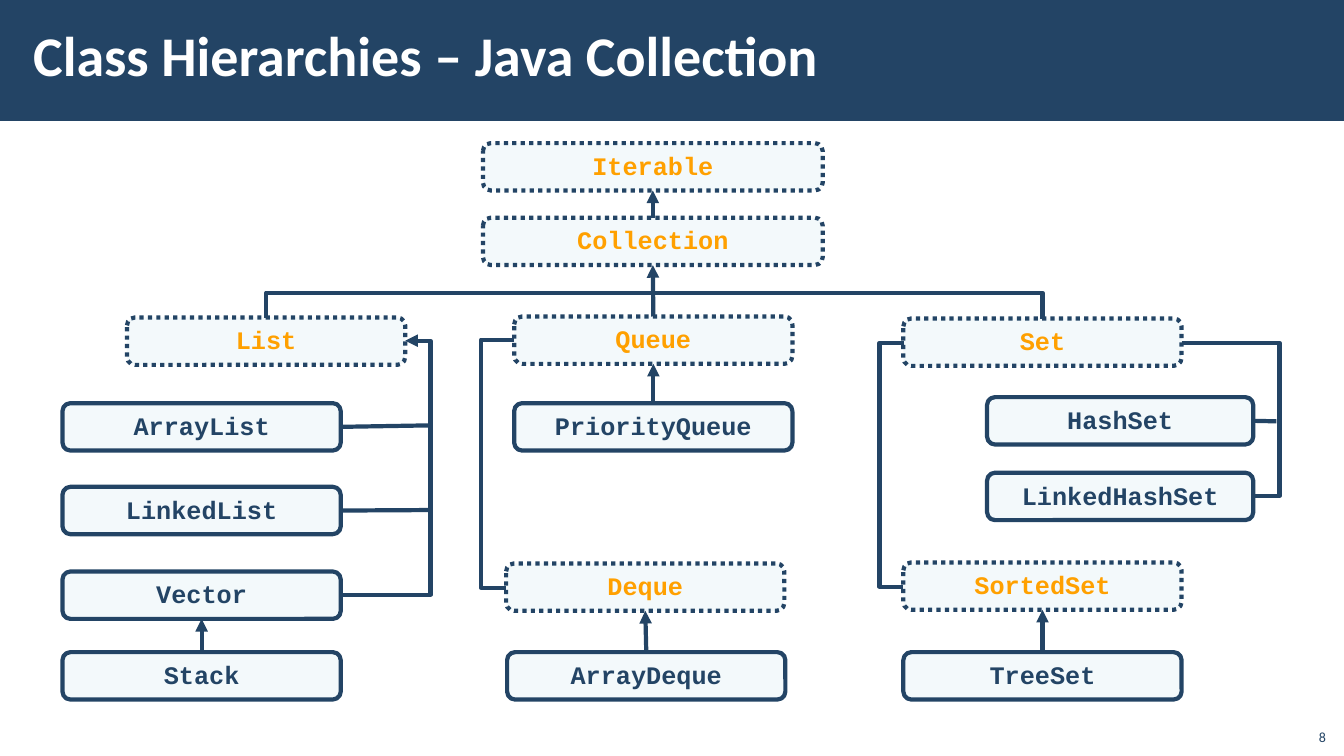
"""Build a slide that shows the class hierarchy of the Java collections."""
from dataclasses import dataclass

from lxml.etree import SubElement
from pptx import Presentation
from pptx.dml.color import RGBColor
from pptx.enum.dml import MSO_LINE
from pptx.enum.shapes import MSO_CONNECTOR, MSO_SHAPE
from pptx.enum.text import MSO_ANCHOR, PP_ALIGN
from pptx.oxml.ns import qn
from pptx.shapes.autoshape import Shape
from pptx.shapes.connector import Connector
from pptx.slide import Slide
from pptx.util import Inches, Pt

NAVY = "234465"
ORANGE = "FFA000"
PALE = "B5DBE5"
WHITE = "FFFFFF"
BOX_HEIGHT = 0.47
TOP, BOTTOM, RIGHT = 0, 2, 3


@dataclass(frozen=True)
class TypeBox:
    name: str
    left: float
    top: float
    width: float = 2.76
    interface: bool = False


@dataclass(frozen=True)
class Branch:
    child: str
    x: float
    y: float


@dataclass(frozen=True)
class Elbow:
    start: tuple[float, float]
    end: tuple[float, float]
    bend: float
    vertical: bool = False
    arrow: bool = False


TYPE_BOXES = [
    TypeBox("Iterable", 4.79, 1.42, 3.37, interface=True),
    TypeBox("Collection", 4.79, 2.16, 3.37, interface=True),
    TypeBox("List", 1.26, 3.15, interface=True),
    TypeBox("Queue", 5.1, 3.14, interface=True),
    TypeBox("Set", 8.96, 3.16, interface=True),
    TypeBox("ArrayList", 0.62, 4),
    TypeBox("LinkedList", 0.62, 4.83),
    TypeBox("Vector", 0.62, 5.67),
    TypeBox("Stack", 0.62, 6.47),
    TypeBox("PriorityQueue", 5.1, 4),
    TypeBox("Deque", 5.02, 5.59, interface=True),
    TypeBox("ArrayDeque", 5.03, 6.47),
    TypeBox("HashSet", 9.79, 3.94, 2.64),
    TypeBox("LinkedHashSet", 9.79, 4.69, 2.64),
    TypeBox("SortedSet", 8.96, 5.58, interface=True),
    TypeBox("TreeSet", 8.96, 6.47),
]
PARENTS = {
    "Collection": "Iterable",
    "Queue": "Collection",
    "PriorityQueue": "Queue",
    "Stack": "Vector",
    "ArrayDeque": "Deque",
    "TreeSet": "SortedSet",
}
BRANCHES = [
    Branch("ArrayList", 4.28, 4.22),
    Branch("LinkedList", 4.28, 5.06),
    Branch("HashSet", 12.66, 4.18),
]
ELBOWS = [
    Elbow((2.64, 3.15), (10.34, 3.16), 2.9, vertical=True),
    Elbow((3.38, 5.9), (4.02, 3.38), 4.27, arrow=True),
    Elbow((5.1, 3.37), (5.02, 5.83), 4.77),
    Elbow((11.72, 3.4), (12.44, 4.92), 12.69),
    Elbow((8.97, 3.4), (8.96, 5.82), 8.72),
]


def color(value: str) -> RGBColor:
    return RGBColor.from_string(value)


def write(shape: Shape, text: str, size: float, font: str, ink: str,
          align: PP_ALIGN, spacing: float | Pt, bold: bool = True) -> None:
    frame = shape.text_frame
    frame.text = text
    para = frame.paragraphs[0]
    para.alignment = align
    para.line_spacing = spacing
    span = para.runs[0]
    span.font.size = Pt(size)
    span.font.name = font
    span.font.bold = bold
    span.font.color.rgb = color(ink)


def add_label(page: Slide, left: float, top: float, width: float, height: float,
              anchor: MSO_ANCHOR) -> Shape:
    label = page.shapes.add_textbox(Inches(left), Inches(top), Inches(width), Inches(height))
    label.text_frame.word_wrap = True
    label.text_frame.vertical_anchor = anchor
    return label


def add_header(page: Slide, width: int) -> None:
    band = page.shapes.add_shape(MSO_SHAPE.RECTANGLE, 0, 0, width, Inches(1.2))
    band.shadow.inherit = False
    band.fill.solid()
    band.fill.fore_color.rgb = color(NAVY)
    band.line.fill.background()
    title = add_label(page, 0.21, 0.11, 10.63, 0.97, MSO_ANCHOR.MIDDLE)
    title.text_frame.margin_left = title.text_frame.margin_right = Inches(0.12)
    title.text_frame.margin_top = title.text_frame.margin_bottom = Inches(0.04)
    write(title, "Class Hierarchies – Java Collection", 40, "Calibri", WHITE,
          PP_ALIGN.LEFT, Pt(40))


def add_type_box(page: Slide, item: TypeBox) -> Shape:
    box = page.shapes.add_shape(MSO_SHAPE.ROUNDED_RECTANGLE, Inches(item.left),
                                Inches(item.top), Inches(item.width), Inches(BOX_HEIGHT))
    box.shadow.inherit = False
    box.fill.solid()
    box.fill.fore_color.rgb = color(PALE)
    fill_color = box.fill._xPr.find(qn("a:solidFill"))[0]
    SubElement(fill_color, qn("a:alpha"), val="15000")
    box.line.color.rgb = color(NAVY)
    box.line.width = Pt(3)
    if item.interface:
        box.line.dash_style = MSO_LINE.ROUND_DOT
    box.text_frame.word_wrap = False
    box.text_frame.vertical_anchor = MSO_ANCHOR.MIDDLE
    write(box, item.name, 18, "Courier New", ORANGE if item.interface else NAVY,
          PP_ALIGN.CENTER, 0.95)
    return box


def add_line(page: Slide, kind: MSO_CONNECTOR, start: tuple[float, float],
             end: tuple[float, float], arrow: bool) -> Connector:
    line = page.shapes.add_connector(kind, *map(Inches, (*start, *end)))
    line.line.color.rgb = color(NAVY)
    line.line.width = Pt(3)
    if arrow:
        SubElement(line.line._get_or_add_ln(), qn("a:tailEnd"), type="triangle")
    SubElement(line._element.spPr, qn("a:effectLst"))
    return line


def add_elbow(page: Slide, elbow: Elbow) -> None:
    (x1, y1), (x2, y2) = elbow.start, elbow.end
    width, height = x2 - x1, y2 - y1
    start, end = elbow.start, elbow.end
    ratio = (elbow.bend - x1) / width
    if elbow.vertical:
        middle_x, middle_y = (x1 + x2) / 2, (y1 + y2) / 2
        start = (middle_x + height / 2, middle_y - width / 2)
        end = (middle_x - height / 2, middle_y + width / 2)
        ratio = (elbow.bend - y1) / height
    line = add_line(page, MSO_CONNECTOR.ELBOW, start, end, elbow.arrow)
    properties = line._element.spPr
    if elbow.vertical:
        properties.find(qn("a:xfrm")).set("rot", str(270 * 60000))
    guides = properties.find(qn("a:prstGeom")).find(qn("a:avLst"))
    SubElement(guides, qn("a:gd"), name="adj1", fmla=f"val {round(ratio * 100000)}")


def main() -> None:
    deck = Presentation()
    deck.slide_width, deck.slide_height = Inches(13.33), Inches(7.5)
    page = deck.slides.add_slide(deck.slide_layouts[6])
    add_header(page, deck.slide_width)
    number = add_label(page, 12.85, 7.12, 0.4, 0.32, MSO_ANCHOR.BOTTOM)
    write(number, "8", 10, "Calibri", NAVY, PP_ALIGN.RIGHT, 1.0, bold=False)
    boxes = {item.name: add_type_box(page, item) for item in TYPE_BOXES}
    for child, parent in PARENTS.items():
        line = add_line(page, MSO_CONNECTOR.STRAIGHT, (0, 0), (0, 0), arrow=True)
        line.begin_connect(boxes[child], TOP)
        line.end_connect(boxes[parent], BOTTOM)
    for branch in BRANCHES:
        point = (branch.x, branch.y)
        line = add_line(page, MSO_CONNECTOR.STRAIGHT, point, point, arrow=False)
        line.begin_connect(boxes[branch.child], RIGHT)
    for elbow in ELBOWS:
        add_elbow(page, elbow)
    deck.save("out.pptx")


if __name__ == "__main__":
    main()
